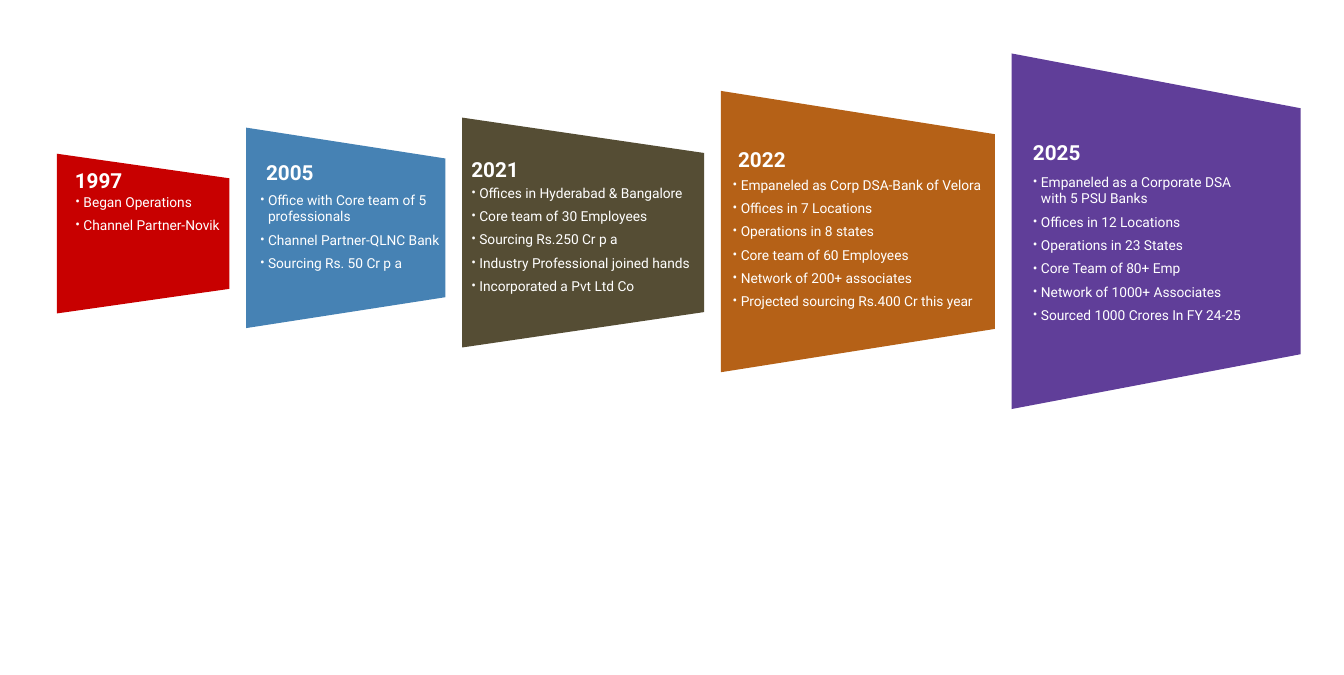
from dataclasses import dataclass

from lxml import etree
from pptx import Presentation
from pptx.dml.color import RGBColor
from pptx.enum.text import MSO_AUTO_SIZE
from pptx.oxml.ns import qn
from pptx.util import Inches, Pt

FIT_SHAPE = MSO_AUTO_SIZE.SHAPE_TO_FIT_TEXT
COLOURS = {
    "red": "C80000",
    "blue": "4682B4",
    "olive": "554D34",
    "orange": "B56117",
    "purple": "603E99",
    "white": "FFFFFF",
}
FONT = "Roboto"
SLIDE_WIDTH, SLIDE_HEIGHT = 20.1, 10.1
FIRST_LEFT = 0.85
PANEL_GAP = 0.25
TAPER = 0.154
YEAR_SIZE, ITEM_SIZE, ITEM_GAP = 22.3, 14.8, 7.4
YEAR_WIDTH, YEAR_HEIGHT = 1.72, 0.48
LINE_HEIGHT = 0.35
BULLET_INDENT = 0.12


@dataclass
class Milestone:
    year: str
    colour: str
    top: float
    width: float
    height: float
    year_offset: tuple
    list_offset: tuple
    list_width: float
    items: list


MILESTONES = [
    Milestone("1997", "red", 2.3, 2.58, 2.39, (0.17, 0.16), (0.18, 0.55), 2.41, [
        "Began Operations",
        "Channel Partner-Novik",
    ]),
    Milestone("2005", "blue", 1.91, 2.98, 3.0, (0.2, 0.43), (0.11, 0.91), 2.98, [
        "Office with Core team of 5 professionals",
        "Channel Partner-QLNC Bank",
        "Sourcing Rs. 50 Cr p a",
    ]),
    Milestone("2021", "olive", 1.76, 3.62, 3.44, (0.04, 0.54), (0.04, 0.95), 3.66, [
        "Offices in Hyderabad & Bangalore",
        "Core team of 30 Employees",
        "Sourcing Rs.250 Cr p a",
        "Industry Professional joined hands",
        "Incorporated a Pvt Ltd Co",
    ]),
    Milestone("2022", "orange", 1.36, 4.1, 4.21, (0.16, 0.79), (0.08, 1.23), 4.31, [
        "Empaneled as Corp DSA-Bank of Velora",
        "Offices in 7 Locations",
        "Operations in 8 states",
        "Core team of 60 Employees",
        "Network of 200+ associates",
        "Projected sourcing Rs.400 Cr this year",
    ]),
    Milestone("2025", "purple", 0.8, 4.32, 5.32, (0.22, 1.24), (0.22, 1.75), 3.44, [
        "Empaneled as a Corporate DSA with 5 PSU Banks",
        "Offices in 12 Locations",
        "Operations in 23 States",
        "Core Team of 80+ Emp",
        "Network of 1000+ Associates",
        "Sourced 1000 Crores In FY 24-25",
    ]),
]


def add_bullet(para):
    properties = para._p.get_or_add_pPr()
    properties.set("marL", str(Inches(BULLET_INDENT)))
    properties.set("indent", str(-Inches(BULLET_INDENT)))
    etree.SubElement(properties, qn("a:buFont"), typeface=FONT)
    etree.SubElement(properties, qn("a:buChar"), char="•")


def add_text(page, lines, left, top, width, height, size, bold=False, bullets=False):
    box = page.shapes.add_textbox(
        Inches(left), Inches(top), Inches(width), Inches(height))
    frame = box.text_frame
    frame.word_wrap = True
    frame.auto_size = FIT_SHAPE
    for index, line in enumerate(lines):
        para = frame.add_paragraph() if index else frame.paragraphs[0]
        if bullets:
            add_bullet(para)
        if index:
            para.space_before = Pt(ITEM_GAP)
        span = para.add_run()
        span.text = line
        span.font.name = FONT
        span.font.size = Pt(size)
        span.font.bold = bold
        span.font.color.rgb = RGBColor.from_string(COLOURS["white"])


def add_panel(page, left, top, width, height, colour):
    right, bottom, inset = left + width, top + height, TAPER * height
    corners = [(right, top + inset), (right, bottom - inset), (left, bottom)]
    builder = page.shapes.build_freeform(Inches(left), Inches(top))
    builder.add_line_segments([(Inches(x), Inches(y)) for x, y in corners])
    panel = builder.convert_to_shape()
    panel.shadow.inherit = False
    panel.fill.solid()
    panel.fill.fore_color.rgb = RGBColor.from_string(COLOURS[colour])
    panel.line.fill.background()


def add_milestone(page, left, milestone):
    top = milestone.top
    add_panel(page, left, top, milestone.width, milestone.height, milestone.colour)
    across, down = milestone.year_offset
    add_text(page, [milestone.year], left + across, top + down,
             YEAR_WIDTH, YEAR_HEIGHT, YEAR_SIZE, bold=True)
    across, down = milestone.list_offset
    add_text(page, milestone.items, left + across, top + down, milestone.list_width,
             LINE_HEIGHT * len(milestone.items), ITEM_SIZE, bullets=True)


def add_timeline(page, left):
    for milestone in MILESTONES:
        add_milestone(page, left, milestone)
        left += milestone.width + PANEL_GAP


def main():
    deck = Presentation()
    deck.slide_width = Inches(SLIDE_WIDTH)
    deck.slide_height = Inches(SLIDE_HEIGHT)
    page = deck.slides.add_slide(deck.slide_layouts[6])
    add_timeline(page, FIRST_LEFT)
    deck.save("out.pptx")


if __name__ == "__main__":
    main()
